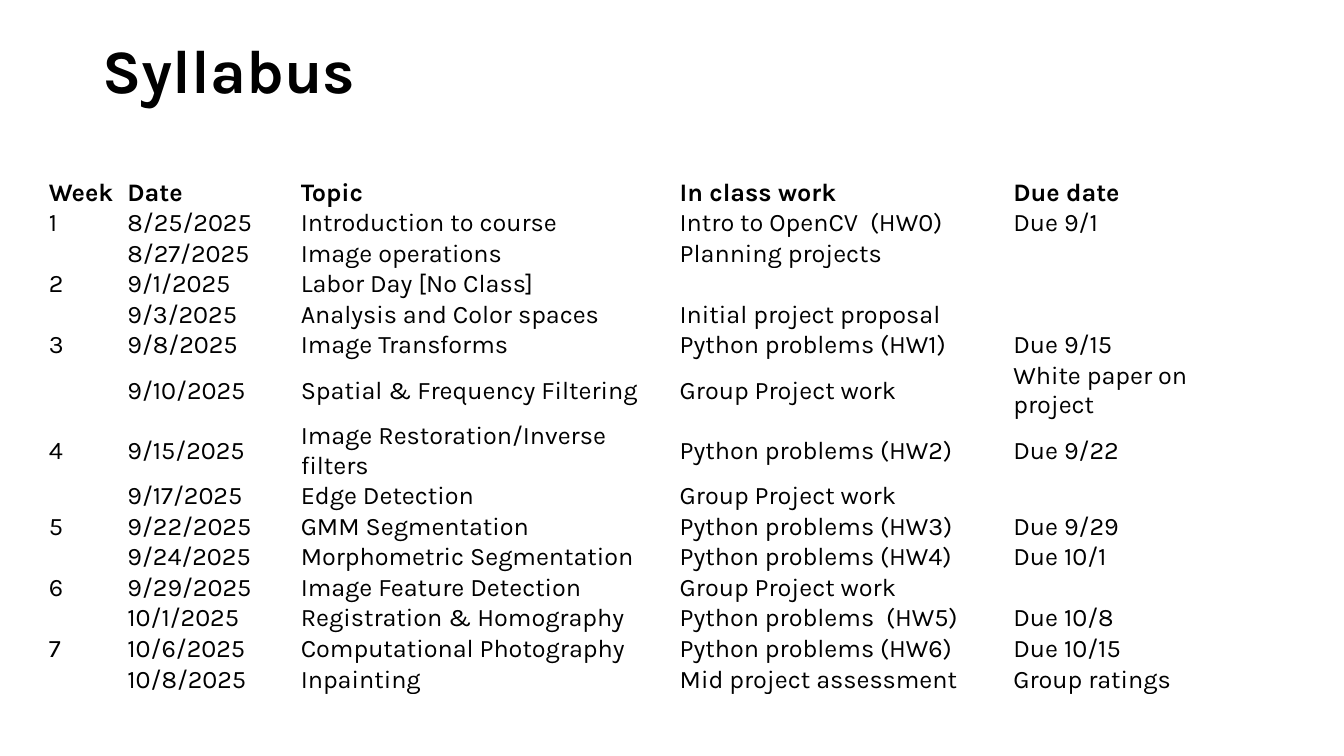
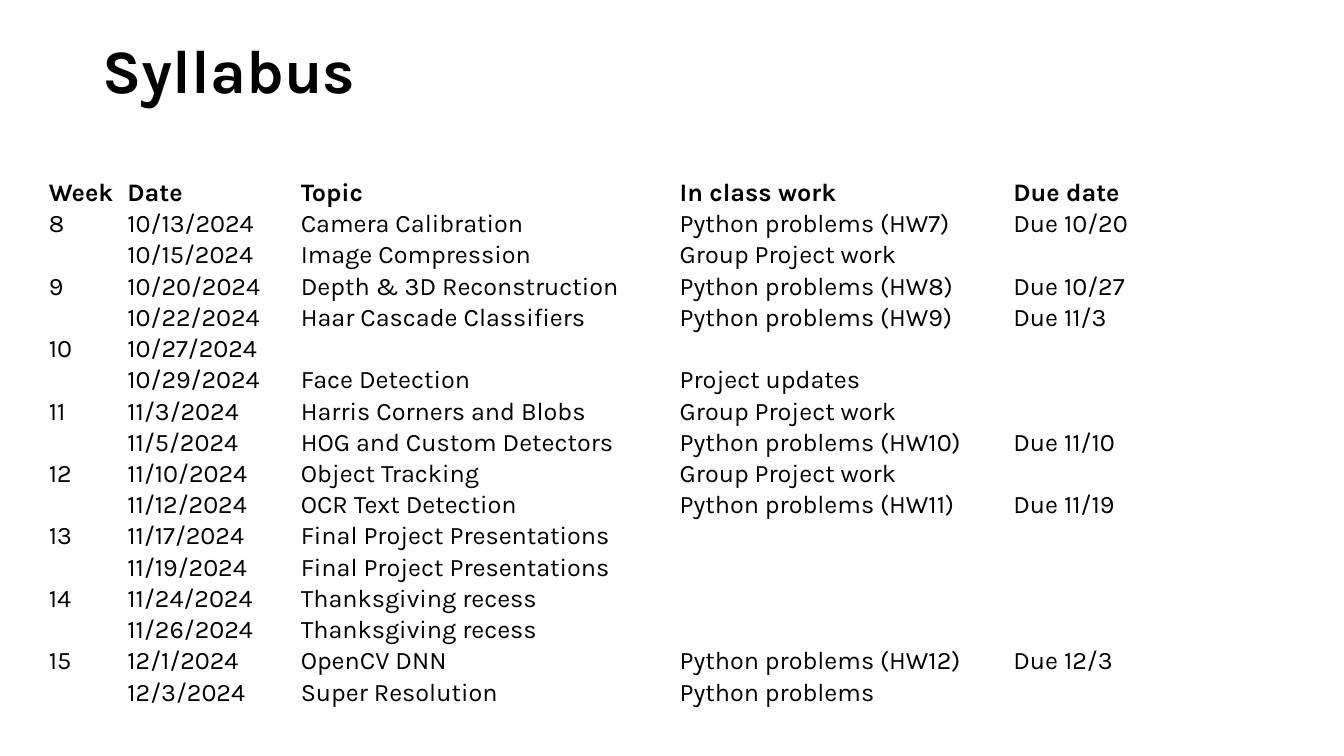
import pptx
import pptx.dml.color
import pptx.enum.text
import pptx.oxml.ns
import pptx.util
from lxml import etree

PX = 4572
FONT = "Karla"
COLORS = {"ink": "000000", "paper": "FFFFFF"}
MIDDLE = pptx.enum.text.MSO_ANCHOR.MIDDLE

COLUMNS = [156, 344, 752, 662, 506]
HEADER = ("Week", "Date", "Topic", "In class work", "Due date")

FIRST_HALF = [
    ("1", "8/25/2025", "Introduction to course", "Intro to OpenCV  (HW0)", "Due 9/1"),
    ("", "8/27/2025", "Image operations", "Planning projects", ""),
    ("2", "9/1/2025", "Labor Day [No Class]", "", ""),
    ("", "9/3/2025", "Analysis and Color spaces", "Initial project proposal", ""),
    ("3", "9/8/2025", "Image Transforms", "Python problems (HW1)", "Due 9/15"),
    ("", "9/10/2025", "Spatial & Frequency Filtering", "Group Project work", "White paper on project"),
    ("4", "9/15/2025", "Image Restoration/Inverse filters", "Python problems (HW2)", "Due 9/22"),
    ("", "9/17/2025", "Edge Detection", "Group Project work", ""),
    ("5", "9/22/2025", "GMM Segmentation", "Python problems (HW3)", "Due 9/29"),
    ("", "9/24/2025", "Morphometric Segmentation", "Python problems (HW4)", "Due 10/1"),
    ("6", "9/29/2025", "Image Feature Detection", "Group Project work", ""),
    ("", "10/1/2025", "Registration & Homography", "Python problems  (HW5)", "Due 10/8"),
    ("7", "10/6/2025", "Computational Photography", "Python problems (HW6)", "Due 10/15"),
    ("", "10/8/2025", "Inpainting", "Mid project assessment", "Group ratings"),
]

SECOND_HALF = [
    ("8", "10/13/2024", "Camera Calibration", "Python problems (HW7)", "Due 10/20"),
    ("", "10/15/2024", "Image Compression", "Group Project work", ""),
    ("9", "10/20/2024", "Depth & 3D Reconstruction", "Python problems (HW8)", "Due 10/27"),
    ("", "10/22/2024", "Haar Cascade Classifiers", "Python problems (HW9)", "Due 11/3"),
    ("10", "10/27/2024", "", "", ""),
    ("", "10/29/2024", "Face Detection", "Project updates", ""),
    ("11", "11/3/2024", "Harris Corners and Blobs", "Group Project work", ""),
    ("", "11/5/2024", "HOG and Custom Detectors", "Python problems (HW10)", "Due 11/10"),
    ("12", "11/10/2024", "Object Tracking", "Group Project work", ""),
    ("", "11/12/2024", "OCR Text Detection", "Python problems (HW11)", "Due 11/19"),
    ("13", "11/17/2024", "Final Project Presentations", "", ""),
    ("", "11/19/2024", "Final Project Presentations", "", ""),
    ("14", "11/24/2024", "Thanksgiving recess", "", ""),
    ("", "11/26/2024", "Thanksgiving recess", "", ""),
    ("15", "12/1/2024", "OpenCV DNN", "Python problems (HW12)", "Due 12/3"),
    ("", "12/3/2024", "Super Resolution", "Python problems", ""),
]


def rgb(name):
    return pptx.dml.color.RGBColor.from_string(COLORS[name])


def write(tf, text, size=18, bold=False, color="ink", spacing=None):
    p = tf.paragraphs[0]
    if spacing:
        p.line_spacing = spacing
    if not text:
        end = etree.SubElement(p._p, pptx.oxml.ns.qn("a:endParaRPr"), sz=str(size * 100))
        etree.SubElement(end, pptx.oxml.ns.qn("a:latin"), typeface=FONT)
        return
    r = p.add_run()
    r.text = text
    r.font.name = FONT
    r.font.size = pptx.util.Pt(size)
    r.font.bold = bold
    r.font.color.rgb = rgb(color)


class Deck:
    def __init__(self, width, height):
        self.prs = pptx.Presentation()
        self.prs.slide_width = width * PX
        self.prs.slide_height = height * PX
        self.s = None

    def slide(self):
        self.s = self.prs.slides.add_slide(self.prs.slide_layouts[6])
        self.s.background.fill.solid()
        self.s.background.fill.fore_color.rgb = rgb("paper")

    def title(self, text):
        sp = self.s.shapes.add_textbox(184 * PX, 0, 2300 * PX, 290 * PX)
        tf = sp.text_frame
        tf.word_wrap = True
        tf.vertical_anchor = MIDDLE
        write(tf, text, size=44, bold=True, spacing=0.9)

    def table(self, rows, left=96, top=352, row_height=42, row_pitch=62):
        sp = self.s.shapes.add_table(len(rows), len(COLUMNS), left * PX, top * PX,
                                     sum(COLUMNS) * PX, len(rows) * row_height * PX)
        table = sp.table
        table.first_row = table.horz_banding = False
        for column, width in zip(table.columns, COLUMNS):
            column.width = width * PX
        for i, row in enumerate(rows):
            for j, text in enumerate(row):
                self.cell(table.cell(i, j), text, bold=i == 0)
        sp.height = len(rows) * row_pitch * PX

    def cell(self, cell, text, bold):
        cell.fill.solid()
        cell.fill.fore_color.rgb = rgb("paper")
        cell.vertical_anchor = MIDDLE
        cell.margin_left = cell.margin_right = cell.margin_top = cell.margin_bottom = 1 * PX
        write(cell.text_frame, text, bold=bold)


def main():
    deck = Deck(2667, 1500)
    for sessions in (FIRST_HALF, SECOND_HALF):
        deck.slide()
        deck.table([HEADER] + sessions)
        deck.title("Syllabus")
    deck.prs.save("out.pptx")


if __name__ == "__main__":
    main()
